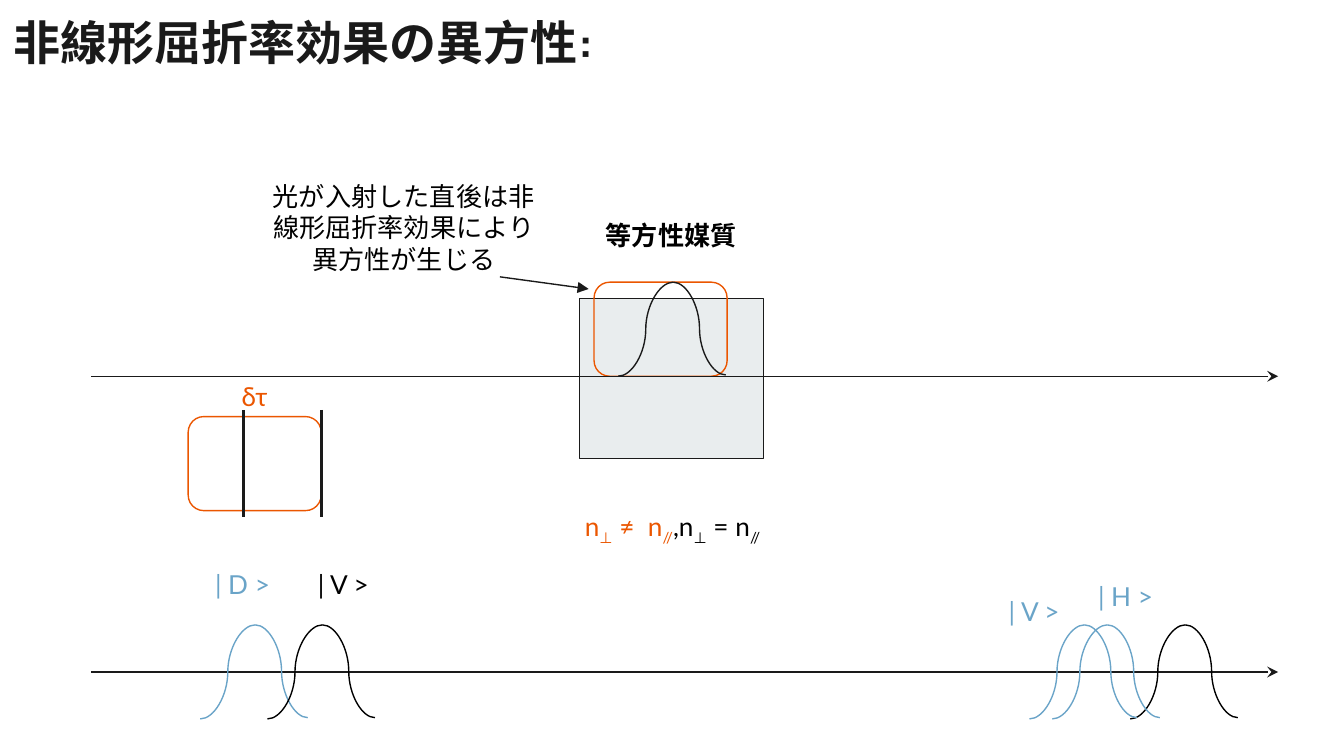
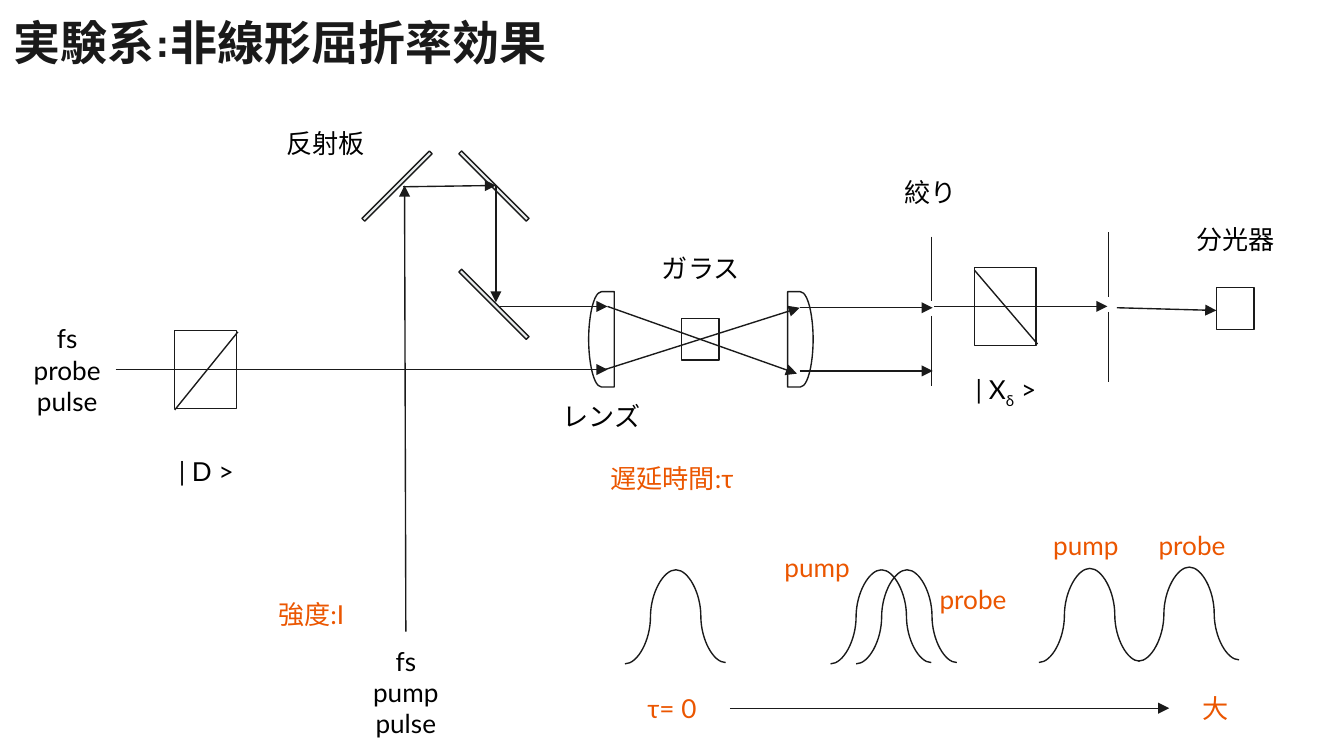
from lxml import etree
from pptx import Presentation
from pptx.dml.color import RGBColor
from pptx.enum.shapes import MSO_CONNECTOR, MSO_SHAPE
from pptx.enum.text import MSO_ANCHOR, MSO_AUTO_SIZE, PP_ALIGN
from pptx.oxml.ns import qn
from pptx.util import Inches, Pt

# Shared look
INK = "1A1A1A"
BLACK = "000000"
ORANGE = "EB5600"
BLUE = "6AA4C8"
GREY = "E9EDEE"
BODY_FONT = "Lato"
TITLE_FONT = "Manrope"
hex_color = RGBColor.from_string


def add_text(slide, text, left, top, width, height=0.44, *, color=BLACK, size=14,
             font=BODY_FONT, bold=False, align=PP_ALIGN.CENTER, grow=True):
    """Place text; a list of (text, color, baseline) makes one mixed paragraph."""
    box = slide.shapes.add_textbox(Inches(left), Inches(top), Inches(width), Inches(height))
    frame = box.text_frame
    frame.word_wrap = True
    frame.vertical_anchor = MSO_ANCHOR.TOP
    frame.auto_size = MSO_AUTO_SIZE.SHAPE_TO_FIT_TEXT if grow else MSO_AUTO_SIZE.NONE
    frame.margin_left = frame.margin_right = Inches(0.1)
    frame.margin_top = frame.margin_bottom = Inches(0.1)
    if isinstance(text, str):
        lines = [[(line, color, 0)] for line in text.split("\n")]
    else:
        lines = [text]
    for index, pieces in enumerate(lines):
        paragraph = frame.paragraphs[0] if index == 0 else frame.add_paragraph()
        paragraph.alignment = align
        for words, run_color, baseline in pieces:
            run = paragraph.add_run()
            run.text = words
            run.font.size = Pt(size)
            run.font.bold = bold
            run.font.name = font
            run.font.color.rgb = hex_color(run_color)
            properties = run.font._element
            etree.SubElement(properties, qn("a:ea")).set("typeface", font)
            if baseline:
                properties.set("baseline", str(baseline * 1000))


def add_line(slide, x1, y1, x2, y2, *, color=INK, weight=0.75, arrow=None,
             kind=MSO_CONNECTOR.STRAIGHT):
    line = slide.shapes.add_connector(kind, Inches(x1), Inches(y1), Inches(x2), Inches(y2))
    line.line.color.rgb = hex_color(color)
    line.line.width = Pt(weight)
    if arrow:
        tail = etree.SubElement(line.line._get_or_add_ln(), qn("a:tailEnd"))
        tail.set("type", arrow)
    etree.SubElement(line._element.spPr, qn("a:effectLst"))


# A 16:9 page
presentation = Presentation()
presentation.slide_width = Inches(10)
presentation.slide_height = Inches(10) * 9 // 16
blank = presentation.slide_layouts[6]

# Slides and titles
slides = []
for title in ("非線形屈折率効果の異方性:", "実験系:非線形屈折率効果"):
    slide = presentation.slides.add_slide(blank)
    add_text(slide, title, 0, 0, 8.41, 0.59, color=INK, size=25.2, font=TITLE_FONT,
             bold=True, align=PP_ALIGN.LEFT, grow=False)
    slides.append(slide)
anisotropy, setup = slides

# Outlined shapes: slide, preset, left, top, width, height, rotation, fill, line
RECTANGLE = MSO_SHAPE.RECTANGLE
ROUNDED = MSO_SHAPE.ROUNDED_RECTANGLE
LENS = MSO_SHAPE.FLOWCHART_DELAY
outlined_shapes = [
    # Medium and the windows of the nonlinear effect
    (anisotropy, RECTANGLE, 4.31, 2.22, 1.37, 1.19, 0, GREY, INK),
    (anisotropy, ROUNDED, 4.42, 2.1, 0.99, 0.7, 0, None, ORANGE),
    (anisotropy, ROUNDED, 1.4, 3.1, 0.99, 0.7, 0, None, ORANGE),
    # Mirrors
    (setup, RECTANGLE, 2.6, 1.37, 0.71, 0.03, 315, GREY, INK),
    (setup, RECTANGLE, 3.32, 1.37, 0.71, 0.03, 45, GREY, INK),
    (setup, RECTANGLE, 3.32, 2.25, 0.71, 0.03, 45, GREY, INK),
    # Polarizers
    (setup, RECTANGLE, 1.24, 2.52, 0.58, 0.46, 90, None, INK),
    (setup, RECTANGLE, 7.19, 2.05, 0.58, 0.46, 270, None, INK),
    # Lenses
    (setup, LENS, 4.38, 2.17, 0.19, 0.71, 180, None, INK),
    (setup, LENS, 5.86, 2.17, 0.19, 0.71, 0, None, INK),
    # Glass and spectrometer
    (setup, RECTANGLE, 5.07, 2.37, 0.28, 0.31, 0, None, INK),
    (setup, RECTANGLE, 9.05, 2.14, 0.28, 0.31, 0, None, INK),
]
for slide, preset, left, top, width, height, rotation, fill, outline in outlined_shapes:
    shape = slide.shapes.add_shape(preset, Inches(left), Inches(top),
                                   Inches(width), Inches(height))
    shape.shadow.inherit = False
    shape.rotation = rotation
    shape.line.color.rgb = hex_color(outline)
    shape.line.width = Pt(0.75)
    if fill:
        shape.fill.solid()
        shape.fill.fore_color.rgb = hex_color(fill)
    else:
        shape.fill.background()

# Time axes, delay marks and callout arrow
for y in (2.8, 5):
    add_line(anisotropy, 0.68, y, 9.51, y, arrow="stealth")
for x in (1.81, 2.39):
    add_line(anisotropy, x, 3.05, x, 3.85, weight=1.5)
add_line(anisotropy, 3.72, 2.06, 4.38, 2.15, arrow="triangle")

# Beam path
beams = [
    (0.86, 2.75, 4.52, 2.75), (3.02, 4.7, 3.01, 1.38), (3, 1.39, 3.69, 1.38),
    (3.69, 1.38, 3.69, 2.25), (3.71, 2.28, 4.52, 2.28), (4.52, 2.28, 5.93, 2.78),
    (4.5, 2.75, 5.95, 2.29), (5.95, 2.29, 6.94, 2.29), (5.95, 2.76, 6.94, 2.76),
    (6.95, 2.28, 8.24, 2.28), (8.31, 2.29, 9.05, 2.31),
]
delay_arrow = (5.43, 5.27, 8.7, 5.27)
for points in beams + [delay_arrow]:
    add_line(setup, *points, arrow="triangle")

# Polarizer diagonals and the two halves of each aperture
for points in ((1.3, 3.05, 1.77, 2.47), (7.25, 2.01, 7.72, 2.56)):
    add_line(setup, *points)
for x, top in ((6.93, 1.76), (8.25, 1.73)):
    add_line(setup, x, top, x, top + 0.48)
    add_line(setup, x, top + 0.59, x, top + 1.11)

# Pulses: slide, peak x, peak y, left reach, right reach, color
pulses = [(anisotropy, 5.01, 2.1, 0.41, 0.39, INK)]
for peak, color in ((1.9, BLUE), (2.4, BLACK), (8.82, BLACK), (8.24, BLUE), (8.07, BLUE)):
    pulses.append((anisotropy, peak, 4.65, 0.41, 0.39, color))
for peak, top in ((5.03, 4.24), (6.56, 4.24), (6.75, 4.24), (8.11, 4.23), (8.85, 4.22)):
    pulses.append((setup, peak, top, 0.38, 0.37, INK))
for slide, peak, top, left_reach, right_reach, color in pulses:
    for foot_x, foot_y in ((peak - left_reach, top + 0.7), (peak + right_reach, top + 0.69)):
        add_line(slide, foot_x, foot_y, peak, top, color=color, kind=MSO_CONNECTOR.CURVE)

# Labels of the anisotropy slide
add_text(anisotropy, "光が入射した直後は非線形屈折率効果により異方性が生じる", 1.85, 1.24, 2.31, 0.91)
add_text(anisotropy, "等方性媒質", 3.84, 1.53, 2.31, bold=True)
add_text(anisotropy, "δτ", 1.51, 2.73, 0.77, color=ORANGE)
add_text(anisotropy, [
    ("n", ORANGE, 0), ("⊥", ORANGE, -25), (" ≠  n", ORANGE, 0), ("//", ORANGE, -25),
    (",n", BLACK, 0), ("⊥", BLACK, -25), (" = n", BLACK, 0), ("//", BLACK, -25),
], 4.17, 3.7, 1.67)
for state, left, top, color in (
    ("| D >", 1.31, 4.13, BLUE), ("| V >", 2.06, 4.13, BLACK),
    ("| V >", 7.2, 4.33, BLUE), ("| H >", 7.88, 4.22, BLUE),
):
    add_text(anisotropy, state, left, top, 0.99, color=color)

# Labels of the optical parts
for label, left, top in (
    ("反射板", 1.93, 0.85), ("| D >", 1.04, 3.29), ("レンズ", 3.98, 2.88),
    ("ガラス", 4.72, 1.78), ("絞り", 6.43, 1.21), ("分光器", 8.7, 1.56),
    ([("| X", BLACK, 0), ("δ", BLACK, -25), (" >", BLACK, 0)], 6.99, 2.68),
):
    add_text(setup, label, left, top, 0.99)
for source, left, top in (("fs\nprobe\npulse", 0.04, 2.3), ("fs\npump\npulse", 2.56, 4.7)):
    add_text(setup, source, left, top, 0.92, 0.91)

# Labels of intensity and delay
for label, left, top, width in (
    ("強度:I", 1.82, 4.35, 0.99), ("遅延時間:τ", 4.32, 3.34, 1.36),
    ("τ= 0", 4.32, 5.05, 1.36), ("大", 8.62, 5.05, 0.85),
    ("pump", 5.62, 4, 0.92), ("probe", 6.78, 4.24, 0.92),
    ("pump", 7.62, 3.84, 0.92), ("probe", 8.41, 3.84, 0.92),
):
    add_text(setup, label, left, top, width, color=ORANGE)

presentation.save("out.pptx")
